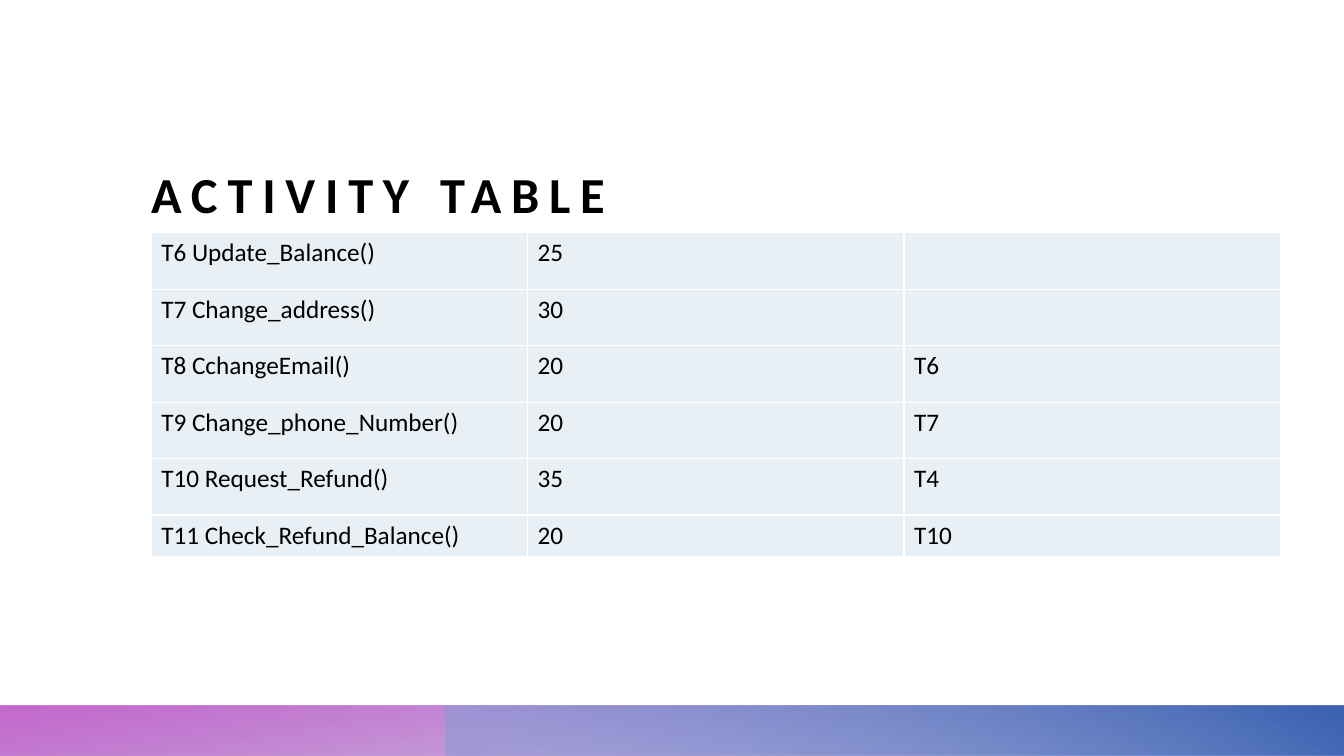
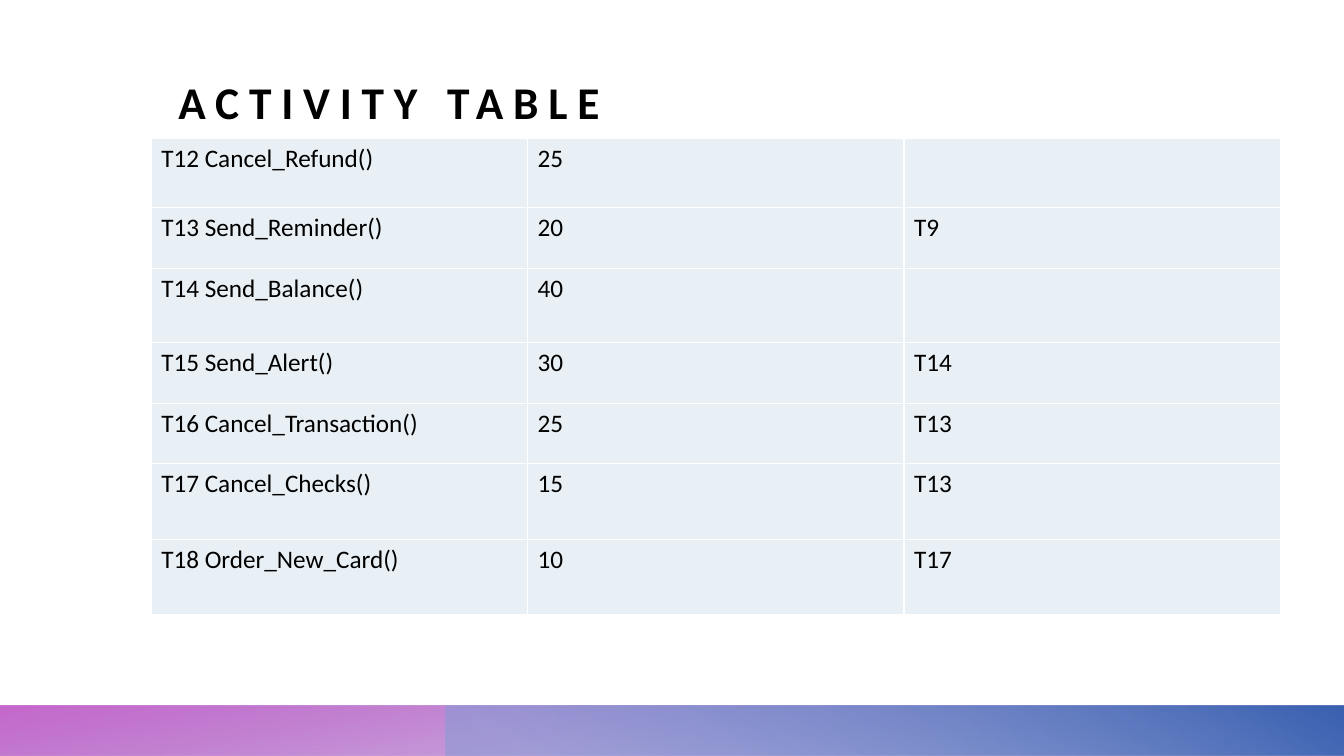
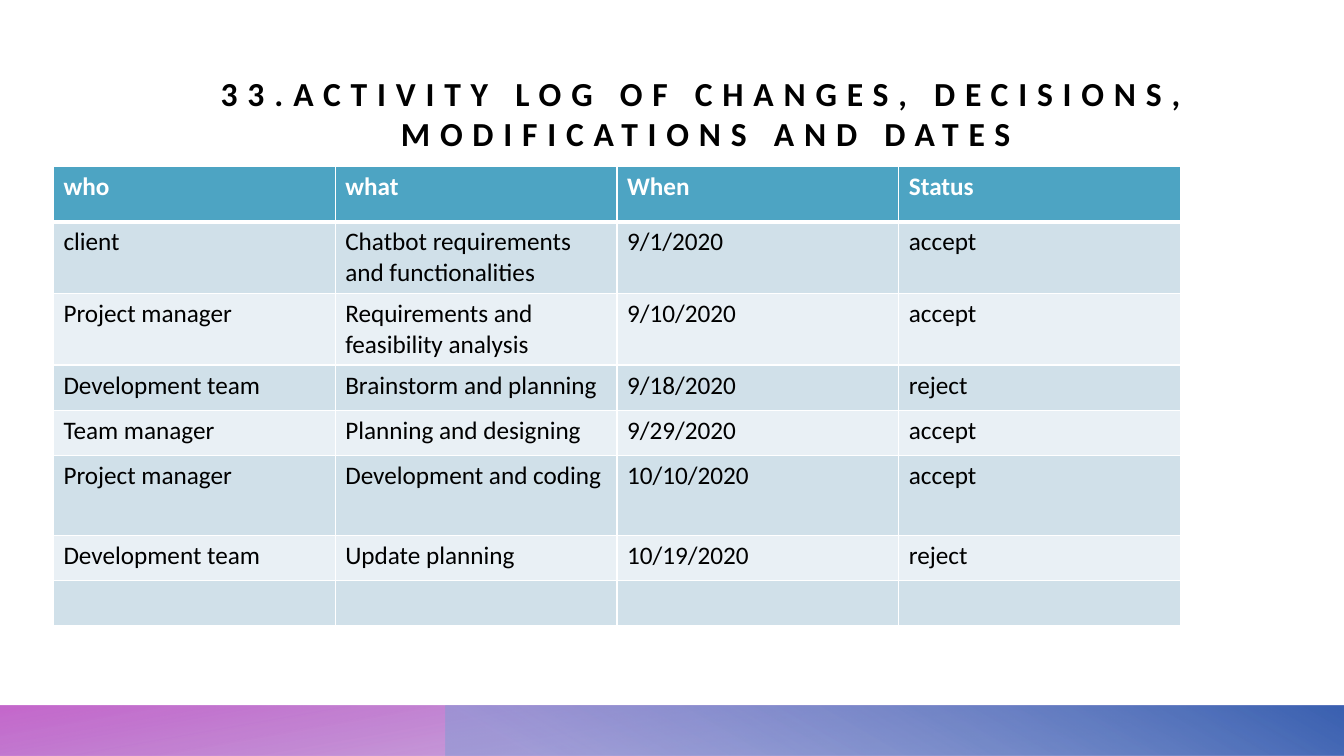
"""Build three activity table slides that share a gradient footer band."""
from dataclasses import dataclass

from lxml.etree import SubElement
from pptx import Presentation
from pptx.dml.color import RGBColor as Rgb
from pptx.enum.shapes import MSO_SHAPE as Shape
from pptx.enum.text import MSO_ANCHOR as Anchor, MSO_AUTO_SIZE as Fit, PP_ALIGN as Align
from pptx.oxml.ns import qn
from pptx.util import Inches, Pt

FONT = "Calibri"
HUES = {
    "ink": "000000", "paper": "FFFFFF", "head": "4DA4C3",
    "dark": "D0E0E9", "light": "E9F0F5",
    "plum": "783BB1", "pink": "BB4DC3", "sky": "849ED6", "navy": "3B61B1",
}


@dataclass(frozen=True)
class Box:
    left: float
    top: float
    width: float
    height: float

    def lengths(self) -> list:
        return [Inches(n) for n in (self.left, self.top, self.width, self.height)]


@dataclass(frozen=True)
class Stop:
    place: int
    hue: str
    alpha: int = 100


@dataclass(frozen=True)
class Band:
    box: Box
    turn: int
    angle: int
    stops: tuple


@dataclass(frozen=True)
class Page:
    title: str
    size: float
    align: Align
    frame: Box
    grid: Box
    heights: tuple
    rows: tuple
    header: bool = False


BANDS = (
    Band(Box(0, 7, 13.33, 0.5), 180, 100, (Stop(14, "plum", 28), Stop(100, "pink", 85))),
    Band(Box(4.42, 7, 8.92, 0.5), 0, 240, (Stop(9, "sky", 55), Stop(99, "navy"))),
)

PAGES = (
    Page(
        "ACTIVITY TABLE", 36, Align.LEFT,
        Box(1.5, 0.87, 11.2, 1.35), Box(1.5, 2.31, 11.2, 3.19),
        (0.56, 0.56, 0.56, 0.56, 0.56, 0.41),
        (
            ("T6 Update_Balance()", "25", ""),
            ("T7 Change_address()", "30", ""),
            ("T8 CchangeEmail()", "20", "T6"),
            ("T9 Change_phone_Number()", "20", "T7"),
            ("T10 Request_Refund()", "35", "T4"),
            ("T11 Check_Refund_Balance()", "20", "T10"),
        ),
    ),
    Page(
        "ACTIVITY TABLE", 32.4, Align.CENTER,
        Box(1.08, 0.6, 5.56, 0.68), Box(1.5, 1.37, 11.2, 4.74),
        (0.69, 0.6, 0.74, 0.6, 0.6, 0.75, 0.75),
        (
            ("T12 Cancel_Refund()", "25", ""),
            ("T13 Send_Reminder()", "20", "T9"),
            ("T14 Send_Balance()", "40", ""),
            ("T15 Send_Alert()", "30", "T14"),
            ("T16 Cancel_Transaction()", "25", "T13"),
            ("T17 Cancel_Checks()", "15", "T13"),
            ("T18 Order_New_Card()", "10", "T17"),
        ),
    ),
    Page(
        "33.ACTIVITY LOG OF CHANGES, DECISIONS, MODIFICATIONS AND DATES", 24, Align.CENTER,
        Box(1.4, 0.17, 11.2, 1.35), Box(0.53, 1.65, 11.18, 4.57),
        (0.55, 0.71, 0.71, 0.45, 0.45, 0.79, 0.45, 0.45),
        (
            ("who", "what", "When", "Status"),
            ("client", "Chatbot requirements and functionalities", "9/1/2020", "accept"),
            ("Project manager", "Requirements and feasibility analysis", "9/10/2020", "accept"),
            ("Development team", "Brainstorm and planning", "9/18/2020", "reject"),
            ("Team manager", "Planning and designing", "9/29/2020", "accept"),
            ("Project manager", "Development and coding", "10/10/2020", "accept"),
            ("Development team", "Update planning", "10/19/2020", "reject"),
            ("", "", "", ""),
        ),
        header=True,
    ),
)


def tint(name: str) -> Rgb:
    return Rgb.from_string(HUES[name])


def style(font, size: float, hue: str, bold: bool) -> None:
    font.name, font.size, font.bold = FONT, Pt(size), bold
    font.color.rgb = tint(hue)


def add_band(slide, layout, band: Band) -> None:
    shape = slide.shapes.add_shape(Shape.RECTANGLE, *band.box.lengths())
    shape.shadow.inherit = False
    shape.line.fill.background()
    shape.rotation = band.turn
    shape.fill.background()
    props = shape.element.spPr
    props.find(qn("a:xfrm")).set("flipH", "1")
    blank = props.find(qn("a:noFill"))
    grad = SubElement(props, qn("a:gradFill"), rotWithShape="1")
    props.replace(blank, grad)
    stops = SubElement(grad, qn("a:gsLst"))
    for stop in band.stops:
        node = SubElement(stops, qn("a:gs"), pos=str(stop.place * 1000))
        color = SubElement(node, qn("a:srgbClr"), val=HUES[stop.hue])
        SubElement(color, qn("a:alpha"), val=str(stop.alpha * 1000))
    SubElement(grad, qn("a:lin"), ang=str(band.angle * 60000), scaled="0")
    layout.shapes.element.append(shape.element)


def set_title(slide, page: Page) -> None:
    title = slide.shapes.title
    title.left, title.top, title.width, title.height = page.frame.lengths()
    frame = title.text_frame
    frame.text = page.title
    frame.word_wrap, frame.auto_size = True, Fit.NONE
    frame.vertical_anchor = Anchor.BOTTOM
    frame.margin_left = frame.margin_top = frame.margin_right = frame.margin_bottom = 0
    line = frame.paragraphs[0]
    line.alignment = page.align
    style(line.font, page.size, "ink", True)
    for run in line.runs:
        run.font.bold = True
        run.font._element.set("spc", "700")


def set_edges(cell, top: int, bottom: int) -> None:
    props = cell._tc.get_or_add_tcPr()
    for side, width in (("L", 1), ("R", 1), ("T", top), ("B", bottom)):
        edge = SubElement(props, qn(f"a:ln{side}"), w=str(Pt(width)))
        fill = SubElement(edge, qn("a:solidFill"))
        SubElement(fill, qn("a:srgbClr"), val=HUES["paper"])


def add_grid(slide, page: Page) -> None:
    count = len(page.rows[0])
    table = slide.shapes.add_table(len(page.rows), count, *page.grid.lengths()).table
    table.first_row, table.horz_banding = page.header, False
    for column in table.columns:
        column.width = Inches(page.grid.width / count)
    for i, (height, texts) in enumerate(zip(page.heights, page.rows)):
        table.rows[i].height = Inches(height)
        head = page.header and i == 0
        fill = "head" if head else "dark" if page.header and i % 2 else "light"
        for j, text in enumerate(texts):
            cell = table.cell(i, j)
            set_edges(cell, 3 if page.header and i == 1 else 1, 3 if head else 1)
            cell.fill.solid()
            cell.fill.fore_color.rgb = tint(fill)
            cell.text = text
            style(cell.text_frame.paragraphs[0].font, 18, "paper" if head else "ink", head)


def main() -> None:
    deck = Presentation()
    deck.slide_width, deck.slide_height = Inches(13.33), Inches(7.5)
    layout = deck.slide_layouts[5]
    slides = [deck.slides.add_slide(layout) for _ in PAGES]
    for band in BANDS:
        add_band(slides[0], layout, band)
    for slide, page in zip(slides, PAGES):
        set_title(slide, page)
        add_grid(slide, page)
    deck.save("out.pptx")


if __name__ == "__main__":
    main()
